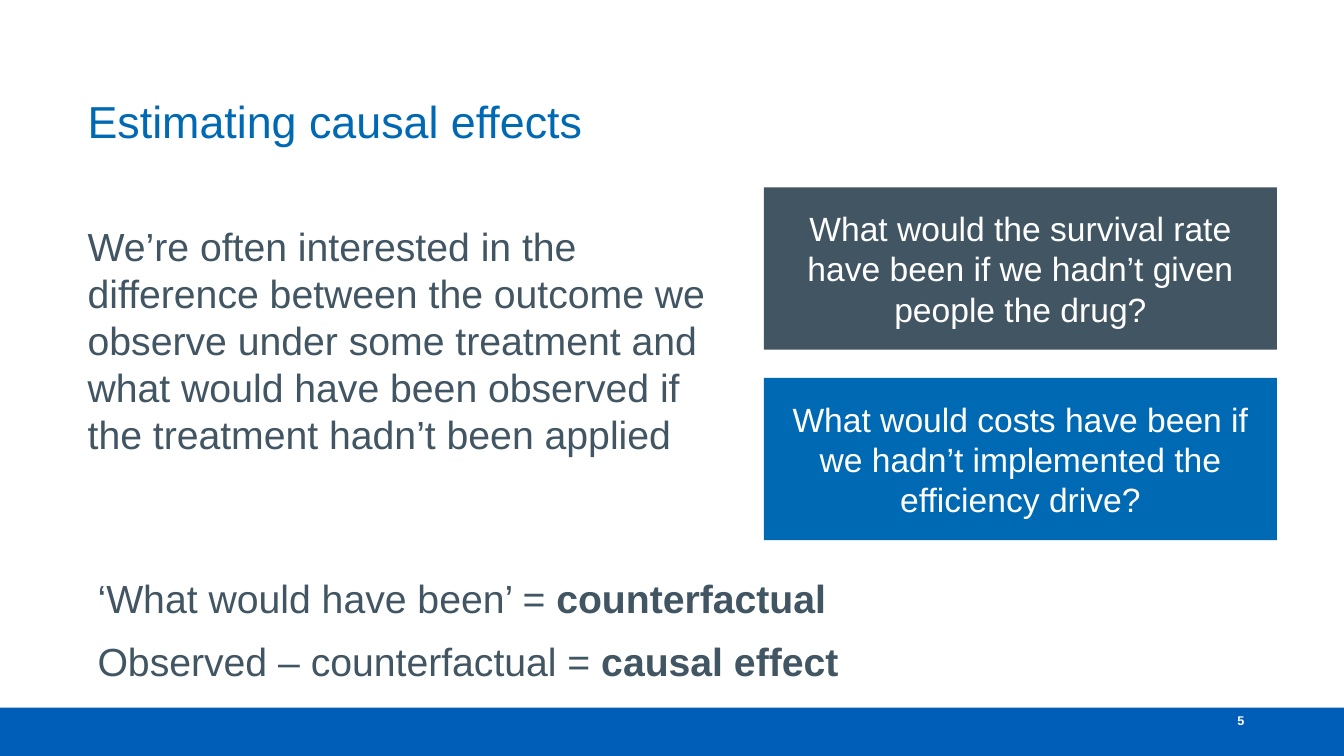
from pptx import Presentation
from pptx.dml.color import RGBColor
from pptx.enum.shapes import MSO_SHAPE
from pptx.enum.text import MSO_ANCHOR, PP_ALIGN
from pptx.util import Cm, Pt

SLATE, BLUE, BAND, WHITE = "415563", "0069B3", "005EB8", "FFFFFF"


def paint(target, color):
    if hasattr(target, "solid"):
        target.solid()
        target = target.fore_color
    target.rgb = RGBColor.from_string(color)


def write(shape, lines, size, color, pad=(0, 0), anchor=MSO_ANCHOR.TOP, **style):
    frame = shape.text_frame
    frame.word_wrap = True
    frame.vertical_anchor = anchor
    frame.margin_left = frame.margin_right = Cm(pad[0])
    frame.margin_top = frame.margin_bottom = Cm(pad[1])
    for i, line in enumerate(lines):
        para = frame.paragraphs[0] if i == 0 else frame.add_paragraph()
        for name, value in style.items():
            setattr(para, name, value)
        for text, bold in line:
            run = para.add_run()
            run.text = text
            for name, value in {"name": "Arial", "size": Pt(size), "bold": bold}.items():
                setattr(run.font, name, value)
            paint(run.font.color, color)


deck = Presentation()
deck.slide_width, deck.slide_height = Cm(33.87), Cm(19.05)
slide = deck.slides.add_slide(deck.slide_layouts[6])
shapes = slide.shapes
paint(slide.background.fill, WHITE)

asks = [
    ("What would the survival rate have been if we hadn’t given people the drug?", SLATE),
    ("What would costs have been if we hadn’t implemented the efficiency drive?", BLUE),
]
blocks = [((0, 17.83, 33.87, 1.22), BAND, None)]
for i, (ask, color) in enumerate(asks):
    blocks.append(((19.25, 4.72 + 4.8 * i, 12.93, 4.09), color, ask))

for place, color, ask in blocks:
    block = shapes.add_shape(MSO_SHAPE.RECTANGLE, *map(Cm, place))
    block.shadow.inherit = False
    paint(block.fill, color)
    block.line.fill.background()
    if ask:
        write(block, [[(ask, False)]], 24, WHITE, pad=(0.5, 0.5),
              anchor=MSO_ANCHOR.MIDDLE, alignment=PP_ALIGN.CENTER)

title = shapes.add_textbox(Cm(2.21), Cm(2.51), Cm(20.42), Cm(2.11))
write(title, [[("Estimating causal effects", False)]], 32, BLUE, line_spacing=0.9)

body = shapes.add_textbox(Cm(2.21), Cm(5.59), Cm(16.1), Cm(6.48))
write(body, [[("We’re often interested in the difference between the outcome we "
               "observe under some treatment and what would have been observed if "
               "the treatment hadn’t been applied", False)]],
      28, SLATE, space_before=Pt(10), space_after=Pt(12))

terms = shapes.add_textbox(Cm(2.21), Cm(14.33), Cm(19.58), Cm(3.07))
write(terms, [[("‘What would have been’ = ", False), ("counterfactual", True)],
              [("Observed – counterfactual = ", False), ("causal effect", True)]],
      28, SLATE, pad=(0.25, 0.13), space_after=Pt(12))

number = shapes.add_textbox(Cm(30.33), Cm(17.65), Cm(1.88), Cm(1.02))
write(number, [[("5", True)]], 9, WHITE, anchor=MSO_ANCHOR.MIDDLE, alignment=PP_ALIGN.CENTER)

deck.save("out.pptx")
